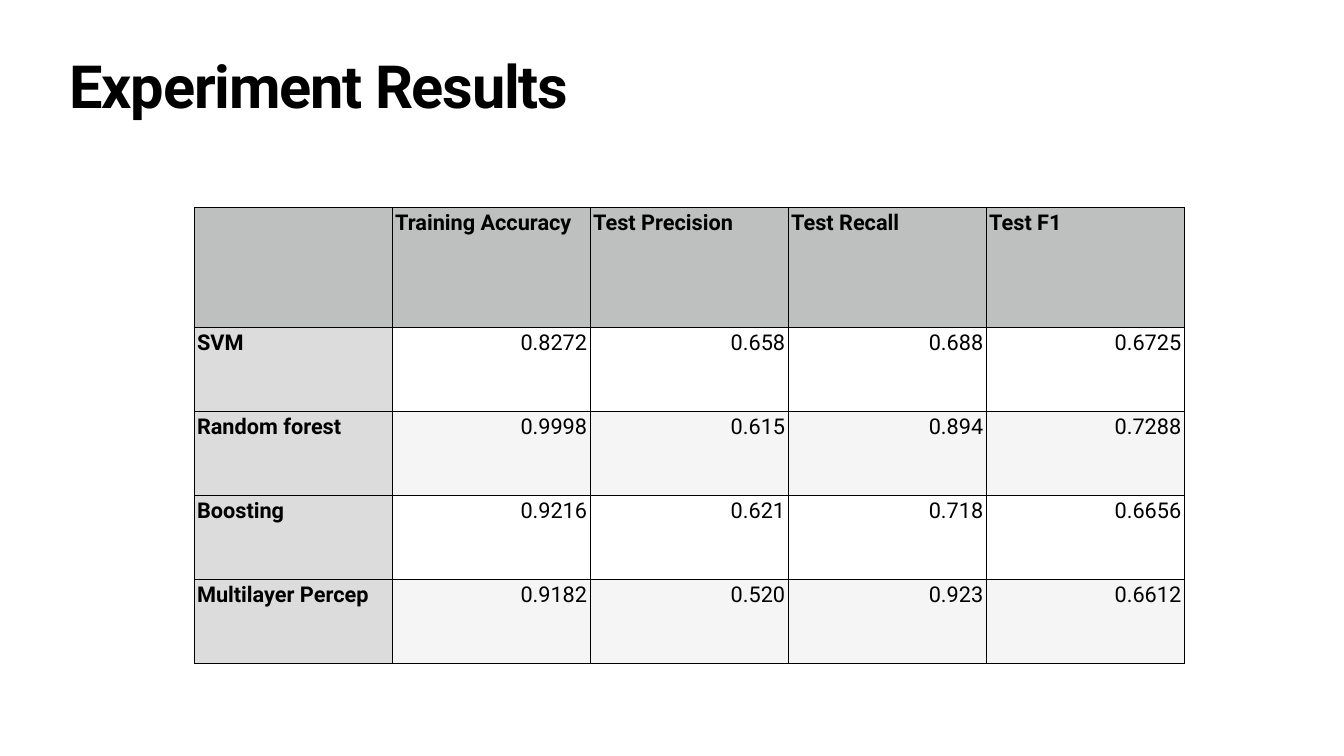
from lxml import etree
from pptx import Presentation
from pptx.dml.color import RGBColor
from pptx.enum import text
from pptx.oxml import ns
from pptx.util import Inches, Pt

TITLE = "Experiment Results"
RESULTS = [
    ("", "Training Accuracy", "Test Precision", "Test Recall", "Test F1"),
    ("SVM", "0.8272", "0.658", "0.688", "0.6725"),
    ("Random forest", "0.9998", "0.615", "0.894", "0.7288"),
    ("Boosting", "0.9216", "0.621", "0.718", "0.6656"),
    ("Multilayer Percep", "0.9182", "0.520", "0.923", "0.6612"),
]
THEME = {
    "font": "Roboto", "title_size": 85, "table_size": 31,
    "ink": "000000", "background": "FFFFFF",
    "header": "BEC0BF", "label": "DCDCDC", "band": "F5F5F5",
    "thin": 0.35, "thick": 0.75,
}
INSET = Inches(0.06)
COL_WIDTH, HEADER_HEIGHT, ROW_HEIGHT = Inches(3.93), Inches(2.37), Inches(1.67)


def style(p, size, bold):
    p.font.name = THEME["font"]
    p.font.size = Pt(size)
    p.font.bold = bold
    p.font.color.rgb = RGBColor.from_string(THEME["ink"])


def set_insets(target):
    for side in ("left", "top", "right", "bottom"):
        setattr(target, f"margin_{side}", INSET)


def add_border(cell, side, thick):
    width = Pt(THEME["thick" if thick else "thin"])
    tc_pr = cell._tc.get_or_add_tcPr()
    ln = etree.SubElement(tc_pr, ns.qn(f"a:ln{side}"), w=str(width))
    fill = etree.SubElement(ln, ns.qn("a:solidFill"))
    etree.SubElement(fill, ns.qn("a:srgbClr"), val=THEME["ink"])


def cell_fill(row, col):
    if row == 0:
        return THEME["header"]
    if col == 0:
        return THEME["label"]
    return THEME["band"] if row % 2 == 0 else None


prs = Presentation()
prs.slide_width, prs.slide_height = Inches(26.67), Inches(15)
s = prs.slides.add_slide(prs.slide_layouts[5])
s.background.fill.solid()
s.background.fill.fore_color.rgb = RGBColor.from_string(THEME["background"])

title = s.shapes.title
title.left, title.top = Inches(1.32), Inches(1.18)
title.width, title.height = Inches(24.03), Inches(1.57)
tf = title.text_frame
tf.text = TITLE
tf.word_wrap = True
tf.auto_size = text.MSO_AUTO_SIZE.NONE
tf.vertical_anchor = text.MSO_ANCHOR.TOP
set_insets(tf)
p = tf.paragraphs[0]
p.alignment = text.PP_ALIGN.LEFT
p.line_spacing = 0.8
style(p, THEME["title_size"], True)
p.runs[0].font._element.set("spc", "-170")

last_row, last_col = len(RESULTS) - 1, len(RESULTS[0]) - 1
table = s.shapes.add_table(
    len(RESULTS), len(RESULTS[0]), Inches(3.85), Inches(4.12),
    COL_WIDTH * (last_col + 1), HEADER_HEIGHT + ROW_HEIGHT * last_row,
).table
table.first_col = True
for column in table.columns:
    column.width = COL_WIDTH
for i, row in enumerate(table.rows):
    row.height = ROW_HEIGHT if i else HEADER_HEIGHT

for i, values in enumerate(RESULTS):
    for j, value in enumerate(values):
        cell = table.cell(i, j)
        cell.text = value
        set_insets(cell)
        cell.vertical_anchor = text.MSO_ANCHOR.TOP
        is_number = i > 0 and j > 0
        p = cell.text_frame.paragraphs[0]
        p.alignment = text.PP_ALIGN.RIGHT if is_number else text.PP_ALIGN.LEFT
        style(p, THEME["table_size"], not is_number)
        add_border(cell, "L", j == 0 or (j == 1 and i > 0))
        add_border(cell, "R", j == last_col or (j == 0 and i > 0))
        add_border(cell, "T", i in (0, 1))
        add_border(cell, "B", i in (0, last_row))
        color = cell_fill(i, j)
        if color:
            cell.fill.solid()
            cell.fill.fore_color.rgb = RGBColor.from_string(color)
        else:
            cell.fill.background()

prs.save("out.pptx")
